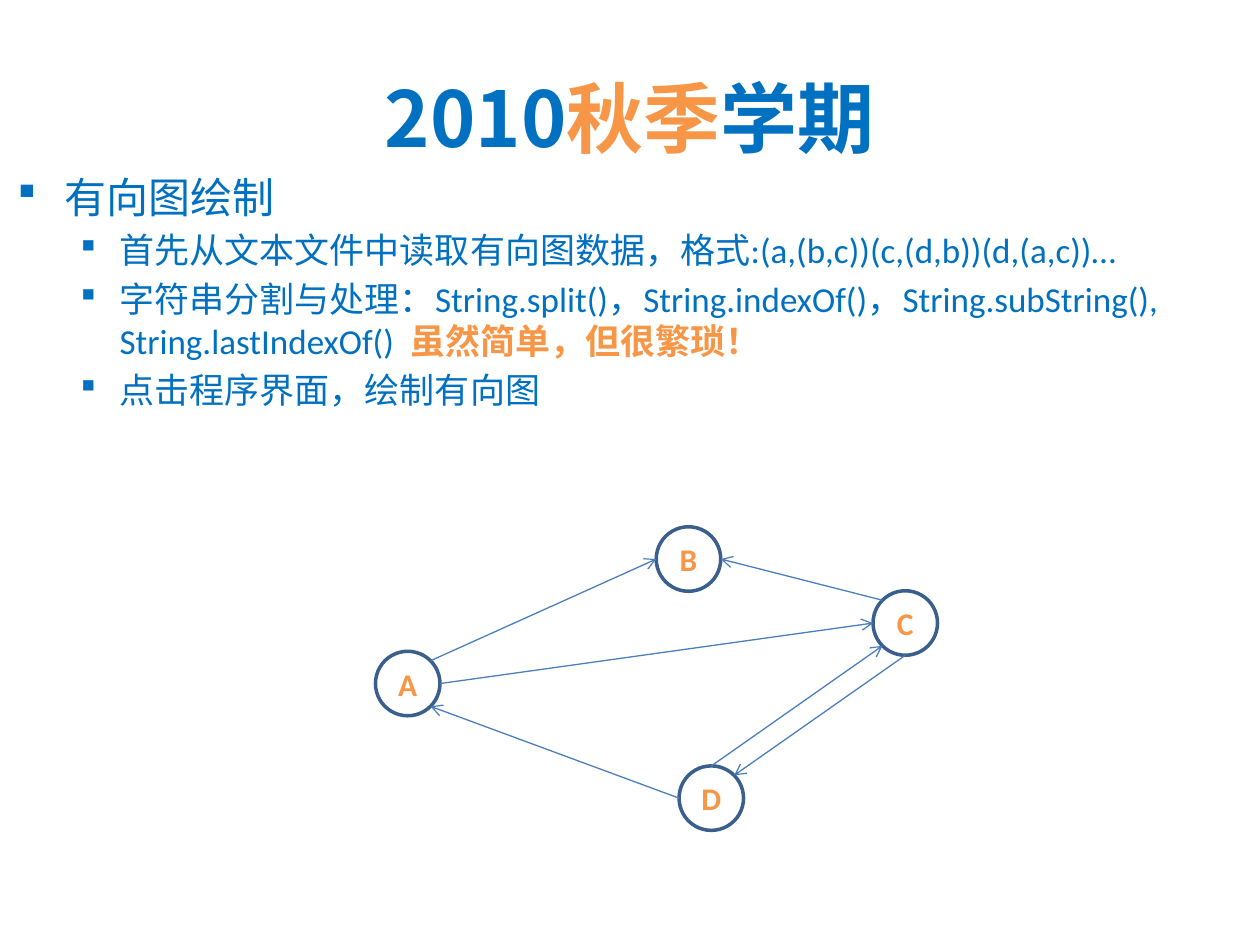
from math import cos, radians, sin

from lxml.etree import SubElement
from pptx import Presentation
from pptx.dml.color import RGBColor
from pptx.enum.shapes import MSO_CONNECTOR as Link, MSO_SHAPE as Shape
from pptx.enum.text import MSO_ANCHOR as Anchor, PP_ALIGN as Align
from pptx.oxml.ns import qn
from pptx.util import Cm, Pt


def color(value):
    return RGBColor.from_string(value)


class Sketch:
    BLUE, ORANGE, RING, EDGE = "0070C0", "F79646", "3A5F8C", "4B7EBC"
    LATIN, HAN = "Calibri", "Noto Sans CJK SC"
    NODE_SIZE = 1.3

    def __init__(self, slide):
        self.slide = slide

    def add_text(self, para, text, size, ink=BLUE, bold=False, font=LATIN):
        span = para.add_run()
        span.text = text
        span.font.size = Pt(size)
        span.font.bold = bold
        span.font.name = font
        span.font.color.rgb = color(ink)
        SubElement(span.font._element, qn("a:ea"), typeface=self.HAN)

    def text_box(self, left, top, width, height, anchor=Anchor.TOP):
        box = self.slide.shapes.add_textbox(Cm(left), Cm(top), Cm(width), Cm(height))
        frame = box.text_frame
        frame.word_wrap = True
        frame.vertical_anchor = anchor
        return frame

    def title(self, runs, *place):
        para = self.text_box(*place, anchor=Anchor.MIDDLE).paragraphs[0]
        para.alignment = Align.CENTER
        for text, ink in runs:
            self.add_text(para, text, 44, ink, True, self.HAN)

    def bullets(self, items, *place):
        frame = self.text_box(*place)
        for index, (level, runs) in enumerate(items):
            para = frame.add_paragraph() if index else frame.paragraphs[0]
            size, margin, hang = [(24, 0.95, 0.95), (20, 2.06, 0.79)][level]
            para.level = level
            para.space_before = Pt(size * 0.2)
            props = para._p.get_or_add_pPr()
            props.set("marL", str(Cm(margin)))
            props.set("indent", str(-Cm(hang)))
            SubElement(props, qn("a:buFont"), typeface="Wingdings", charset="2")
            SubElement(props, qn("a:buChar"), char="§")
            for text, ink, bold in runs:
                self.add_text(para, text, size, ink, bold)

    def node(self, name, left, top):
        size = Cm(self.NODE_SIZE)
        ring = self.slide.shapes.add_shape(Shape.OVAL, Cm(left), Cm(top), size, size)
        ring.shadow.inherit = False
        ring.fill.background()
        ring.line.color.rgb = color(self.RING)
        ring.line.width = Pt(2)
        frame = ring.text_frame
        frame.word_wrap = False
        frame.vertical_anchor = Anchor.MIDDLE
        frame.margin_left = frame.margin_right = 0
        frame.margin_top = frame.margin_bottom = 0
        para = frame.paragraphs[0]
        para.alignment = Align.CENTER
        self.add_text(para, name, 18, self.ORANGE, True)

    def rim(self, corner, angle):
        radius = self.NODE_SIZE / 2
        left, top = corner
        return (Cm(left + radius + radius * cos(radians(angle))),
                Cm(top + radius - radius * sin(radians(angle))))

    def arrow(self, start, start_angle, end, end_angle):
        edge = self.slide.shapes.add_connector(
            Link.STRAIGHT, *self.rim(start, start_angle), *self.rim(end, end_angle))
        edge.line.color.rgb = color(self.EDGE)
        edge.line.width = Pt(0.75)
        SubElement(edge.line._get_or_add_ln(), qn("a:tailEnd"), type="arrow")
        SubElement(edge._element.spPr, qn("a:effectLst"))


deck = Presentation()
deck.slide_width, deck.slide_height = Cm(25.4), Cm(19.05)
page = Sketch(deck.slides.add_slide(deck.slide_layouts[6]))
BLUE, ORANGE = page.BLUE, page.ORANGE

page.title([("2010", BLUE), ("秋季", ORANGE), ("学期", BLUE)], 1.27, 0.76, 22.86, 3.18)

page.bullets([
    (0, [("有向图绘制", BLUE, False)]),
    (1, [("首先从文本文件中读取有向图数据，格式:(a,(b,c))(c,(d,b))(d,(a,c))…", BLUE, False)]),
    (1, [("字符串分割与处理：String.split()，String.indexOf()，"
          "String.subString(), String.lastIndexOf()  ", BLUE, False),
         ("虽然简单，但很繁琐！", ORANGE, True)]),
    (1, [("点击程序界面，绘制有向图", BLUE, False)]),
], 0.1, 3.33, 24.49, 5.79)

nodes = {"A": (7.57, 13.13), "D": (13.69, 15.44), "B": (13.23, 10.62), "C": (17.6, 11.91)}
for name, corner in nodes.items():
    page.node(name, *corner)

edges = [
    ("A", 45, "B", 180),
    ("A", 0, "C", 180),
    ("C", 270, "D", 45),
    ("C", 135, "B", 0),
    ("D", 180, "A", 315),
    ("D", 90, "C", 225),
]
for start, start_angle, end, end_angle in edges:
    page.arrow(nodes[start], start_angle, nodes[end], end_angle)

deck.save("out.pptx")
